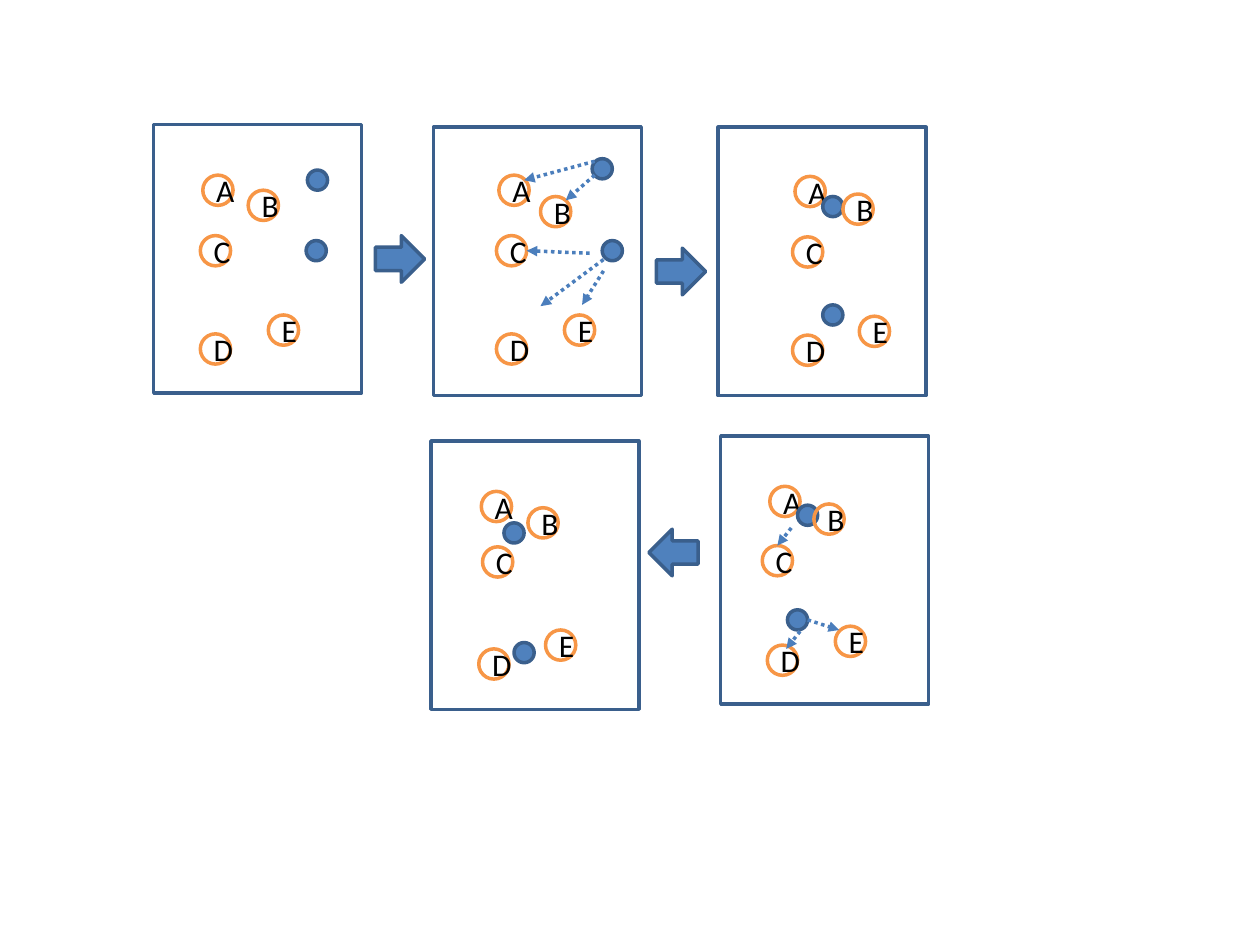
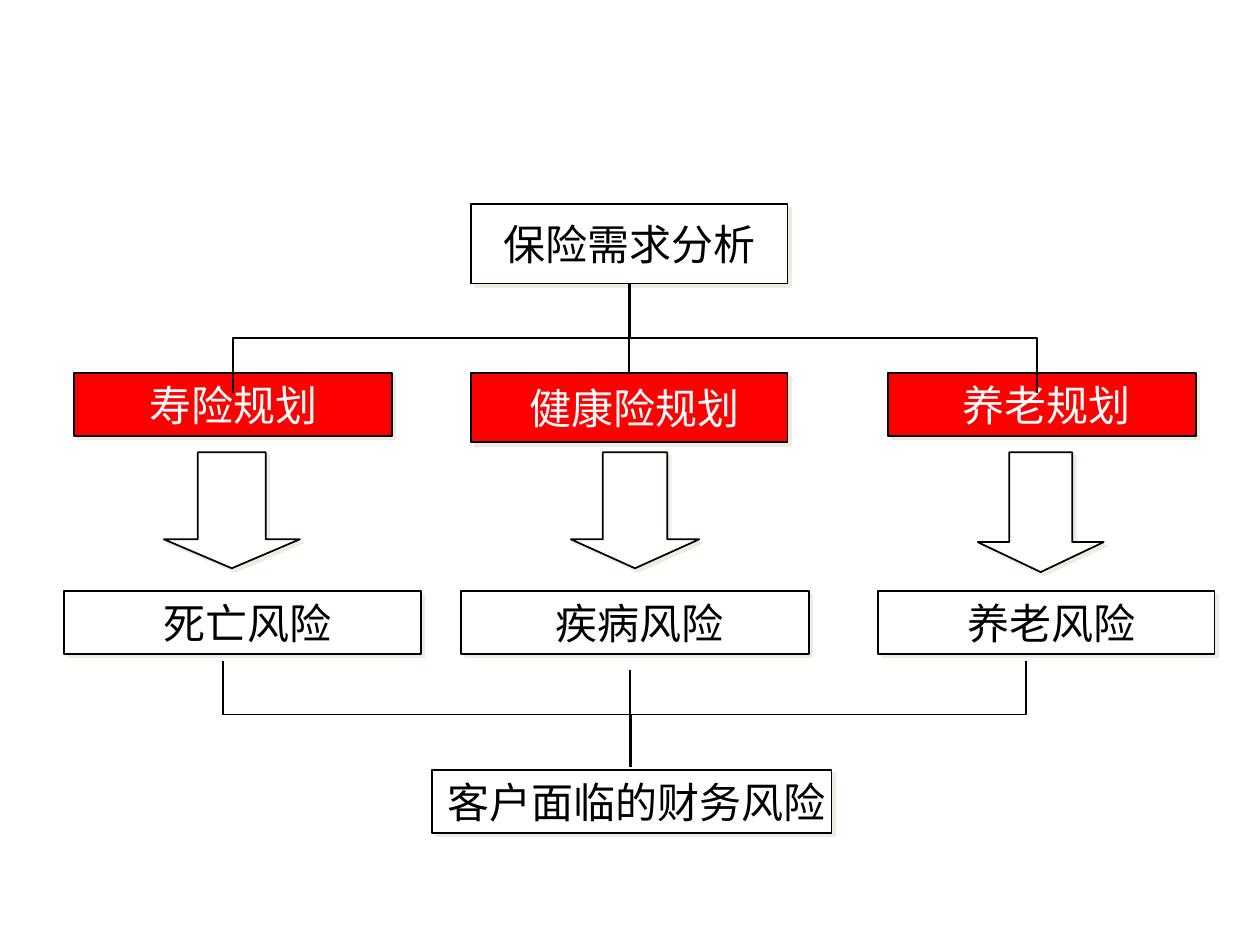
from lxml.etree import SubElement
from pptx import Presentation
from pptx.dml.color import RGBColor
from pptx.enum.dml import MSO_LINE
from pptx.enum.shapes import MSO_CONNECTOR as LINK, MSO_SHAPE as SHAPE
from pptx.enum.text import MSO_ANCHOR, PP_ALIGN
from pptx.oxml.ns import qn
from pptx.util import Inches, Pt

COLORS = {
    "blue": "4F81BD", "navy": "3A5F8C", "arrow": "4B7EBC", "orange": "F79646",
    "red": "FF0000", "black": "000000", "white": "FFFFFF", "shade": "EEECE1",
}
FONT = "Calibri"
COLUMNS, ROWS = 100, 75  # square cells of a tenth of an inch
PANEL = (16.5, 21.3)
POINT_SIZE, CENTRE_SIZE = 2.4, 1.6
BLOCK_ARROW = (3.9, 3.7)
BOX_HEIGHT = 5


def grid(cells):
    return Inches(cells / 10)


def rgb(name):
    return RGBColor.from_string(COLORS[name])


def add_text(shape, text, size=18, color="black", wrap=True):
    frame = shape.text_frame
    frame.word_wrap = wrap
    frame.vertical_anchor = MSO_ANCHOR.MIDDLE
    para = frame.paragraphs[0]
    para.alignment = PP_ALIGN.CENTER
    span = para.add_run()
    span.text = text
    span.font.name = FONT
    span.font.size = Pt(size)
    span.font.color.rgb = rgb(color)


def add_figure(page, kind, box, fill=None, line="navy", width=2):
    shape = page.shapes.add_shape(kind, *map(grid, box))
    shape.shadow.inherit = False
    if fill:
        shape.fill.solid()
        shape.fill.fore_color.rgb = rgb(fill)
    else:
        shape.fill.background()
    shape.line.color.rgb = rgb(line)
    shape.line.width = Pt(width)
    return shape


def add_link(page, start, end, kind=LINK.STRAIGHT, color="black", width=1):
    link = page.shapes.add_connector(kind, *map(grid, (*start, *end)))
    link.line.color.rgb = rgb(color)
    link.line.width = Pt(width)
    SubElement(link._element.spPr, qn("a:effectLst"))
    return link


def add_dotted_arrow(page, start, end):
    link = add_link(page, start, end, color="arrow", width=2)
    link.line.dash_style = MSO_LINE.ROUND_DOT
    SubElement(link.line._get_or_add_ln(), qn("a:tailEnd"), type="triangle")


def add_elbow(page, start, end):
    """Elbow that leaves downwards: a level elbow turned about its centre."""
    (x1, y1), (x2, y2) = start, end
    mid_x, mid_y = (x1 + x2) / 2, (y1 + y2) / 2
    half_w, half_h = (y2 - y1) / 2, abs(x2 - x1) / 2
    turn = 90
    if x2 > x1:
        half_w, turn = -half_w, 270
    link = add_link(page, (mid_x - half_w, mid_y - half_h),
                    (mid_x + half_w, mid_y + half_h), LINK.ELBOW)
    link._element.spPr.find(qn("a:xfrm")).set("rot", str(turn * 60000))


def add_shaded(page, kind, box, fill="white"):
    shape = add_figure(page, kind, box, fill, "black", 1)
    effects = shape._element.spPr.find(qn("a:effectLst"))
    shadow = SubElement(effects, qn("a:outerShdw"), dist=str(Pt(2.8)),
                        dir=str(45 * 60000), algn="ctr", rotWithShape="0")
    SubElement(shadow, qn("a:srgbClr"), val=COLORS["shade"])
    return shape


def add_label(page, text, box, fill="white", color="black"):
    add_text(add_shaded(page, SHAPE.RECTANGLE, box, fill), text,
             size=24, color=color, wrap=False)


def draw_stage(page, origin, points, centres, moves=()):
    """Panel with points A to E, cluster centres and their moves."""
    def place(spot):
        return origin[0] + spot[0], origin[1] + spot[1]

    def draw_point(letter, spot):
        box = (*place(spot), POINT_SIZE, POINT_SIZE)
        add_text(add_figure(page, SHAPE.OVAL, box, line="orange"), letter)

    add_figure(page, SHAPE.RECTANGLE, (*origin, *PANEL))
    lettered = list(zip("ABCDE", points))
    draw_point(*lettered[0])
    for spot in centres:
        add_figure(page, SHAPE.OVAL, (*place(spot), CENTRE_SIZE, CENTRE_SIZE), "blue")
    for letter, spot in lettered[1:]:
        draw_point(letter, spot)
    for start, end in moves:
        add_dotted_arrow(page, place(start), place(end))


STAGES = [
    dict(origin=(12.2, 9.9),
         points=[(3.9, 4), (7.5, 5.2), (3.7, 8.8), (3.7, 16.6), (9.1, 15.1)],
         centres=[(12.2, 3.6), (12.1, 9.2)]),
    dict(origin=(34.4, 10.1),
         points=[(5.2, 3.8), (8.5, 5.5), (5, 8.6), (5, 16.4), (10.4, 14.9)],
         centres=[(12.6, 2.5), (13.4, 9)],
         moves=[((12.8, 2.7), (7.2, 4.2)), ((12.8, 3.8), (10.5, 5.8)),
                ((13.5, 10.5), (8.5, 14.2)), ((12.4, 10), (7.4, 9.8)),
                ((13.5, 11.4), (11.8, 14.1))]),
    dict(origin=(57, 10.1),
         points=[(6.1, 3.9), (9.9, 5.3), (5.9, 8.7), (5.9, 16.5), (11.2, 15)],
         centres=[(8.3, 5.5), (8.3, 14.1)]),
    dict(origin=(57.2, 34.6),
         points=[(3.9, 4), (7.4, 5.4), (3.3, 8.7), (3.7, 16.6), (9.1, 15.1)],
         centres=[(6.1, 5.5), (5.3, 13.8)],
         moves=[((5.6, 7.3), (4.5, 8.7)), ((6.3, 15.5), (5.2, 16.9)),
                ((6.9, 14.6), (9.4, 15.4))]),
    dict(origin=(34.2, 35),
         points=[(4, 4), (7.7, 5.3), (4.1, 8.4), (3.8, 16.5), (9.1, 15)],
         centres=[(5.8, 6.5), (6.6, 16)]),
]
STAGE_ARROWS = [(29.8, 18.7, 0), (52.1, 19.7, 0), (51.5, 42, 180)]


def draw_clustering(page):
    for stage in STAGES:
        draw_stage(page, **stage)
    for left, top, turn in STAGE_ARROWS:
        arrow = add_figure(page, SHAPE.RIGHT_ARROW, (left, top, *BLOCK_ARROW), "blue")
        arrow.rotation = turn


# Each branch: plan (text, left, width, height), arrow (left, width, height),
# risk (text, left, width)
BRANCHES = [
    (("寿险规划", 5.9, 25.2, 5), (13, 10.8, 9.2), (" 死亡风险", 5.1, 28.3)),
    ((" 健康险规划", 37.4, 25.1, 5.5), (45.3, 10.2, 9.2), (" 疾病风险", 36.6, 27.6)),
    ((" 养老规划", 70.5, 24.4, 5), (77.6, 10, 9.5), (" 养老风险", 69.7, 26.7)),
]


def draw_branch(page, plan, arrow, risk):
    text, left, width, height = plan
    add_label(page, text, (left, 29.6, width, height), "red", "white")

    left, width, height = arrow
    block = add_shaded(page, SHAPE.DOWN_ARROW, (left, 35.9, width, height))
    block.adjustments[0], block.adjustments[1] = 0.5, 0.25

    text, left, width = risk
    add_label(page, text, (left, 46.9, width, BOX_HEIGHT))


def draw_insurance_needs(page):
    add_label(page, "保险需求分析", (37.4, 16.2, 25.1, 6.3))
    for branch in BRANCHES:
        draw_branch(page, *branch)
    add_label(page, " 客户面临的财务风险", (34.3, 61.1, 31.7, BOX_HEIGHT))

    for plan_x in (18.5, 82.3):
        add_elbow(page, (50, 22.5), (plan_x, 31.2))
    add_link(page, (49.9, 22.5), (49.9, 29.6))
    for risk_x, foot_x in ((17.7, 50.1), (81.4, 50)):
        add_elbow(page, (risk_x, 52.5), (foot_x, 60.9))
    add_link(page, (50, 53.2), (50, 60))


def main():
    deck = Presentation()
    deck.slide_width, deck.slide_height = grid(COLUMNS), grid(ROWS)
    blank = deck.slide_layouts[6]
    for draw in (draw_clustering, draw_insurance_needs):
        draw(deck.slides.add_slide(blank))
    deck.save("out.pptx")


if __name__ == "__main__":
    main()
